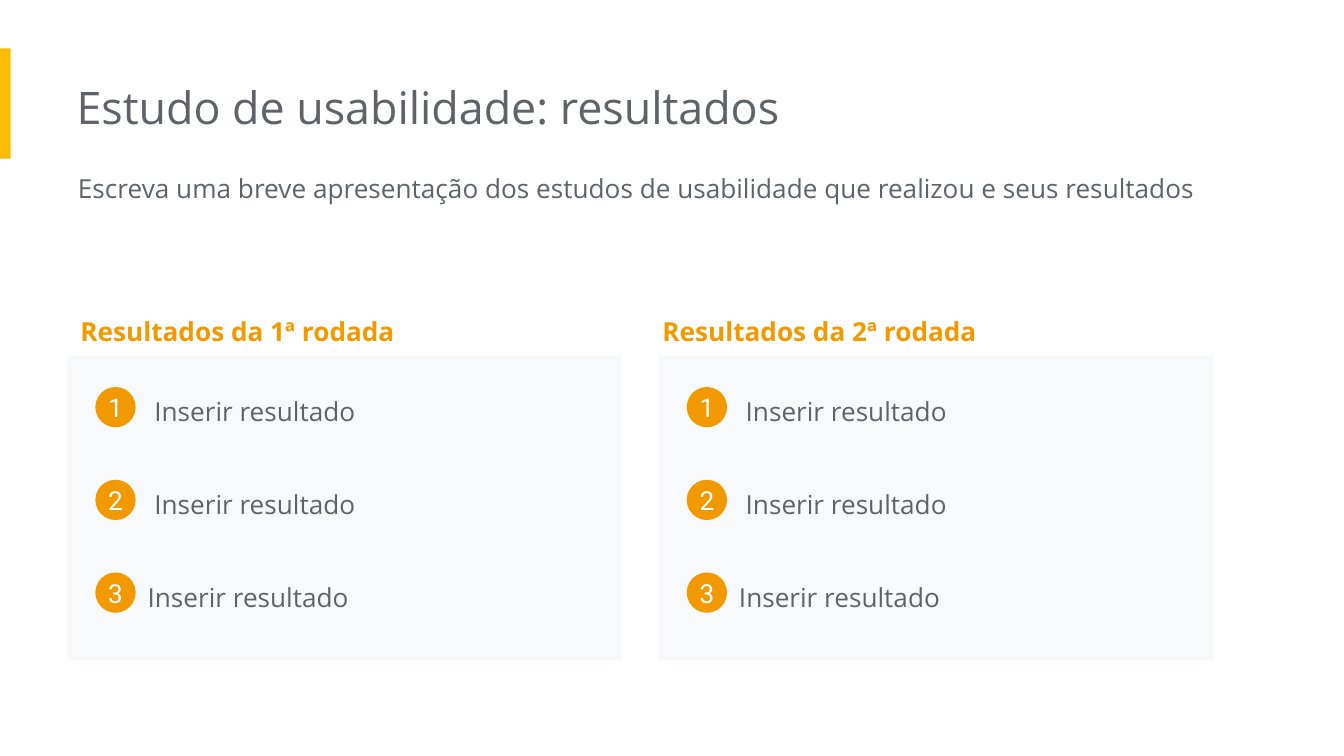
from dataclasses import dataclass

from pptx import Presentation
from pptx import util as u
from pptx.dml.color import RGBColor
from pptx.enum import shapes, text


@dataclass(frozen=True)
class Theme:
    """Colours, fonts and type sizes of the slide."""
    ink: str = "5F6368"
    accent: str = "F29900"
    marker: str = "FBBC04"
    panel: str = "F8F9FA"
    paper: str = "FFFFFF"
    body_font: str = "Open Sans"
    number_font: str = "Roboto"
    title_size: int = 24
    body_size: int = 14


class SlideBuilder:
    """Draws styled elements on a slide with a grid 100 columns wide and square cells."""

    def __init__(self, slide, theme, cell):
        self.slide, self.theme, self.cell = slide, theme, cell

    def place(self, *cells):
        return [round(n * self.cell) for n in cells]

    def style(self, frame, size, font, color, bold=False):
        for run in frame.paragraphs[0].runs:
            run.font.size = u.Pt(size)
            run.font.name = font
            run.font.bold = bold
            run.font.color.rgb = RGBColor.from_string(color)

    def block(self, col, row, cols, rows, color, kind=shapes.MSO_SHAPE.RECTANGLE):
        block = self.slide.shapes.add_shape(kind, *self.place(col, row, cols, rows))
        block.shadow.inherit = False
        block.fill.solid()
        block.fill.fore_color.rgb = RGBColor.from_string(color)
        block.line.fill.background()
        return block

    def label(self, wording, col, row, cols, rows, size=None, color=None,
              bold=False, inset=1, spacing=1.15):
        frame = self.slide.shapes.add_textbox(*self.place(col, row, cols, rows)).text_frame
        frame.word_wrap = True
        frame.margin_left, frame.margin_right, frame.margin_top, frame.margin_bottom = (
            self.place(inset, 1, 1, 1))
        frame.text = wording
        frame.paragraphs[0].line_spacing = spacing
        self.style(frame, size or self.theme.body_size, self.theme.body_font,
                   color or self.theme.ink, bold)

    def badge(self, number, col, row, size=3):
        badge = self.block(col, row, size, size, self.theme.accent, shapes.MSO_SHAPE.OVAL)
        frame = badge.text_frame
        frame.margin_left = frame.margin_right = frame.margin_top = frame.margin_bottom = 0
        frame.vertical_anchor = text.MSO_ANCHOR.MIDDLE
        frame.text = str(number)
        frame.paragraphs[0].alignment = text.PP_ALIGN.CENTER
        self.style(frame, self.theme.body_size, self.theme.number_font, self.theme.paper)

    def results(self, heading, heading_col, col, row, findings):
        self.label(heading, heading_col, row - 4.4, 36.5, 4.4,
                   color=self.theme.accent, bold=True)
        self.block(col, row, 41.3, 22.6, self.theme.panel)
        for index, (finding, indent) in enumerate(findings):
            top = row + 1.6 + index * 6.9
            self.label(finding, col + indent, top, 36.5, 4.4)
            self.badge(index + 1, col + 2.1, top + 0.7)


def main():
    theme = Theme()
    deck = Presentation()
    deck.slide_width = u.Inches(10)
    deck.slide_height = deck.slide_width * 9 // 16
    slide = deck.slides.add_slide(deck.slide_layouts[6])
    slide.background.fill.solid()
    slide.background.fill.fore_color.rgb = RGBColor.from_string(theme.paper)
    builder = SlideBuilder(slide, theme, deck.slide_width / 100)

    builder.block(0, 3.6, 0.8, 8.2, theme.marker)
    builder.label("Estudo de usabilidade: resultados", 5.7, 4.9, 67.3, 6.1,
                  size=theme.title_size, inset=0, spacing=1.0)
    builder.label("Escreva uma breve apresentação dos estudos de usabilidade "
                  "que realizou e seus resultados", 5.8, 11.5, 86.1, 7.1, inset=0)

    findings = [("Inserir resultado", indent) for indent in (5.5, 5.5, 5)]
    rounds = [("Resultados da 1ª rodada", 5, 5), ("Resultados da 2ª rodada", 48.3, 49)]
    for heading, heading_col, panel_col in rounds:
        builder.results(heading, heading_col, panel_col, 26.5, findings)

    deck.save("out.pptx")


if __name__ == "__main__":
    main()
